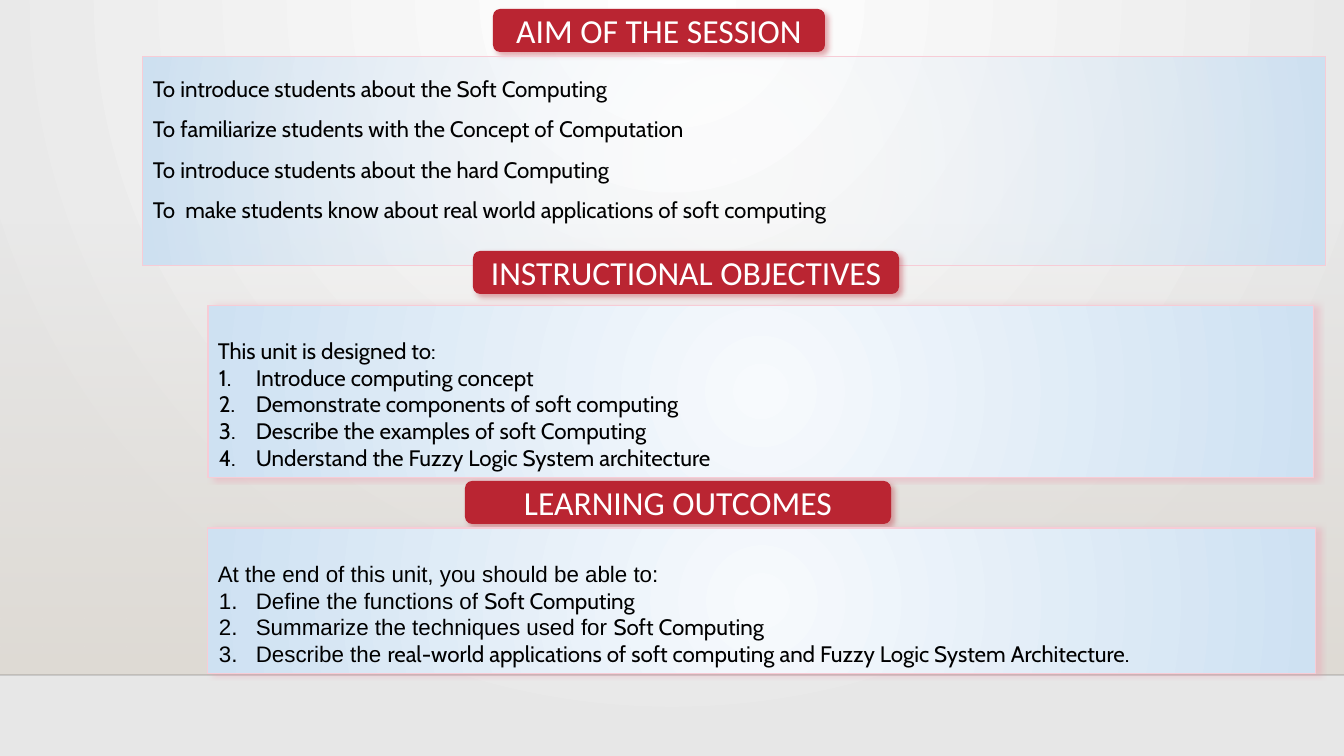
from pptx import Presentation
from pptx.dml.color import RGBColor
from pptx.enum.shapes import MSO_CONNECTOR, MSO_SHAPE
from pptx.enum.text import MSO_ANCHOR, PP_ALIGN
from pptx.oxml import parse_xml
from pptx.oxml.ns import nsdecls, qn
from pptx.util import Pt

PX = 914400 / 100.8
WIDTH, HEIGHT, FLOOR = 1344, 756, 675
RECT, ROUNDED = MSO_SHAPE.RECTANGLE, MSO_SHAPE.ROUNDED_RECTANGLE
STRAIGHT = MSO_CONNECTOR.STRAIGHT
TOP, MIDDLE = MSO_ANCHOR.TOP, MSO_ANCHOR.MIDDLE
LEFT, CENTER = PP_ALIGN.LEFT, PP_ALIGN.CENTER
CABIN, ARIAL, CALIBRI = "Cabin", "Arial", "Calibri"

COLORS = {
    "white": "FFFFFF", "black": "000000", "edge": "E7E7E7", "wall": "DFDBD5",
    "floor": "000001", "red": "BA2532", "panel": "F7FAFD", "panel_edge": "CEE1F2",
    "border": "F7CCD6", "glow": "EE99AD",
}

AIMS = [
    "To introduce students about the Soft Computing",
    "To familiarize students with the Concept of Computation",
    "To introduce students about the hard Computing",
    "To  make students know about real world applications of soft computing",
]
OBJECTIVES = [
    "Introduce computing concept",
    "Demonstrate components of soft computing",
    "Describe the examples of soft Computing",
    "Understand the Fuzzy Logic System architecture",
]
OUTCOMES = [
    ("Define the functions of ", "Soft Computing"),
    ("Summarize the techniques used for ", "Soft Computing"),
    ("Describe the ", "real-world applications of soft computing and "
     "Fuzzy Logic System Architecture."),
]


def emu(*lengths):
    """Turn px lengths into EMU."""
    return [round(n * PX) for n in lengths]


def rgb(name):
    """Look up a named colour."""
    return RGBColor.from_string(COLORS[name])


def color_xml(name, alpha=100):
    """Return a colour element with the given opacity in percent."""
    return f'<a:srgbClr val="{COLORS[name]}"><a:alpha val="{alpha * 1000}"/></a:srgbClr>'


def set_gradient(parent, start, end, shade, alpha=100):
    """Replace the solid fill of parent with a two-stop gradient."""
    grad = parse_xml(
        f'<a:gradFill {nsdecls("a")} rotWithShape="1"><a:gsLst>'
        f'<a:gs pos="0">{color_xml(start, alpha)}</a:gs>'
        f'<a:gs pos="100000">{color_xml(end)}</a:gs></a:gsLst>{shade}</a:gradFill>')
    parent.replace(parent.find(qn("a:solidFill")), grad)


def circle(l, t, r, b):
    """Return a circular shade that runs out from a rectangle in percent."""
    return (f'<a:path path="circle"><a:fillToRect l="{l * 1000}" t="{t * 1000}" '
            f'r="{r * 1000}" b="{b * 1000}"/></a:path>')


def add_shadow(shape, color, angle):
    """Give a shape a soft outer shadow."""
    effects = shape._element.spPr.find(qn("a:effectLst"))
    effects.append(parse_xml(
        f'<a:outerShdw {nsdecls("a")} blurRad="{Pt(4)}" dist="{Pt(3)}" '
        f'dir="{angle * 60000}" algn="tl" rotWithShape="0">'
        f'{color_xml(color, 40)}</a:outerShdw>'))


def add_box(s, kind, box, fill):
    """Add a plain shape with no outline and no shadow."""
    sp = s.shapes.add_shape(kind, *emu(*box))
    sp.fill.solid()
    sp.fill.fore_color.rgb = rgb(fill)
    sp.line.fill.background()
    sp.shadow.inherit = False
    return sp


def add_run(p, text, font, size, color):
    """Add one formatted run to a paragraph."""
    r = p.add_run()
    r.text = text
    r.font.name, r.font.size = font, Pt(size)
    r.font.color.rgb = rgb(color)


def number(p):
    """Turn a paragraph into a numbered item."""
    pPr = p._p.get_or_add_pPr()
    margin, indent = emu(38, -37)
    pPr.set("marL", str(margin))
    pPr.set("indent", str(indent))
    for xml in (f'<a:buClr {nsdecls("a")}>{color_xml("black")}</a:buClr>',
                f'<a:buAutoNum {nsdecls("a")} type="arabicPeriod"/>'):
        pPr.append(parse_xml(xml))


def draw_backdrop(s):
    """Draw the background, the wall shading and the floor line."""
    s.background.fill.solid()
    set_gradient(s.element.find(".//" + qn("p:bgPr")), "white", "edge",
                 circle(43, 0, 43, 100))
    wall = add_box(s, RECT, (0, 223, WIDTH, FLOOR - 223), "wall")
    set_gradient(wall._element.spPr, "wall", "wall",
                 '<a:lin ang="5400000" scaled="0"/>', 0)
    line = s.shapes.add_connector(STRAIGHT, *emu(0, FLOOR, WIDTH, FLOOR))
    line.line.width = Pt(1)
    line.line.color.rgb = rgb("floor")
    spPr = line._element.spPr
    spPr.find(".//" + qn("a:srgbClr")).append(
        parse_xml(f'<a:alpha {nsdecls("a")} val="20000"/>'))
    spPr.append(parse_xml(f'<a:effectLst {nsdecls("a")}/>'))


def draw_heading(s, box, text):
    """Draw a red rounded heading."""
    sp = add_box(s, ROUNDED, box, "red")
    add_shadow(sp, "red", 45)
    tf = sp.text_frame
    tf.word_wrap, tf.vertical_anchor = True, MIDDLE
    p = tf.paragraphs[0]
    p.alignment = CENTER
    add_run(p, text, CALIBRI, 24, "white")


def draw_panel(s, box, paragraphs, alpha=100, glow=True):
    """Draw a pale panel from (runs, line spacing, numbered) paragraphs."""
    sp = add_box(s, RECT, box, "panel")
    set_gradient(sp._element.spPr, "panel", "panel_edge", circle(50, 50, 50, 50), alpha)
    sp.line.color.rgb = rgb("border")
    sp.line.width = 0
    if glow:
        add_shadow(sp, "glow", 0)
    tf = sp.text_frame
    tf.word_wrap, tf.vertical_anchor = True, TOP
    for i, (runs, spacing, numbered) in enumerate(paragraphs):
        p = tf.add_paragraph() if i else tf.paragraphs[0]
        p.alignment = LEFT
        if numbered:
            number(p)
        p.line_spacing = spacing
        for text, font in runs:
            add_run(p, text, font, 16, "black")


def main():
    """Build and save the slide."""
    prs = Presentation()
    prs.slide_width, prs.slide_height = emu(WIDTH, HEIGHT)
    s = prs.slides.add_slide(prs.slide_layouts[6])
    draw_backdrop(s)
    aims = [([(text, CABIN)], 1.5, False) for text in AIMS]
    objectives = [([("This unit is designed to:", CABIN)], 2.0, False)]
    objectives += [([(text, CABIN)], 1.0, True) for text in OBJECTIVES]
    outcomes = [([("At the end of this unit, you should be able to:", ARIAL)], 2.0, False)]
    outcomes += [(zip(texts, (ARIAL, CABIN)), 1.0, True) for texts in OUTCOMES]
    draw_heading(s, (493, 9, 332, 43), "AIM OF THE SESSION")
    draw_panel(s, (143, 57, 1183, 209), aims, alpha=0, glow=False)
    draw_heading(s, (473, 251, 426, 43), "INSTRUCTIONAL OBJECTIVES")
    draw_panel(s, (208, 305, 1106, 173), objectives)
    draw_heading(s, (465, 481, 426, 43), "LEARNING OUTCOMES")
    draw_panel(s, (208, 528, 1108, 146), outcomes)
    prs.save("out.pptx")


if __name__ == "__main__":
    main()
